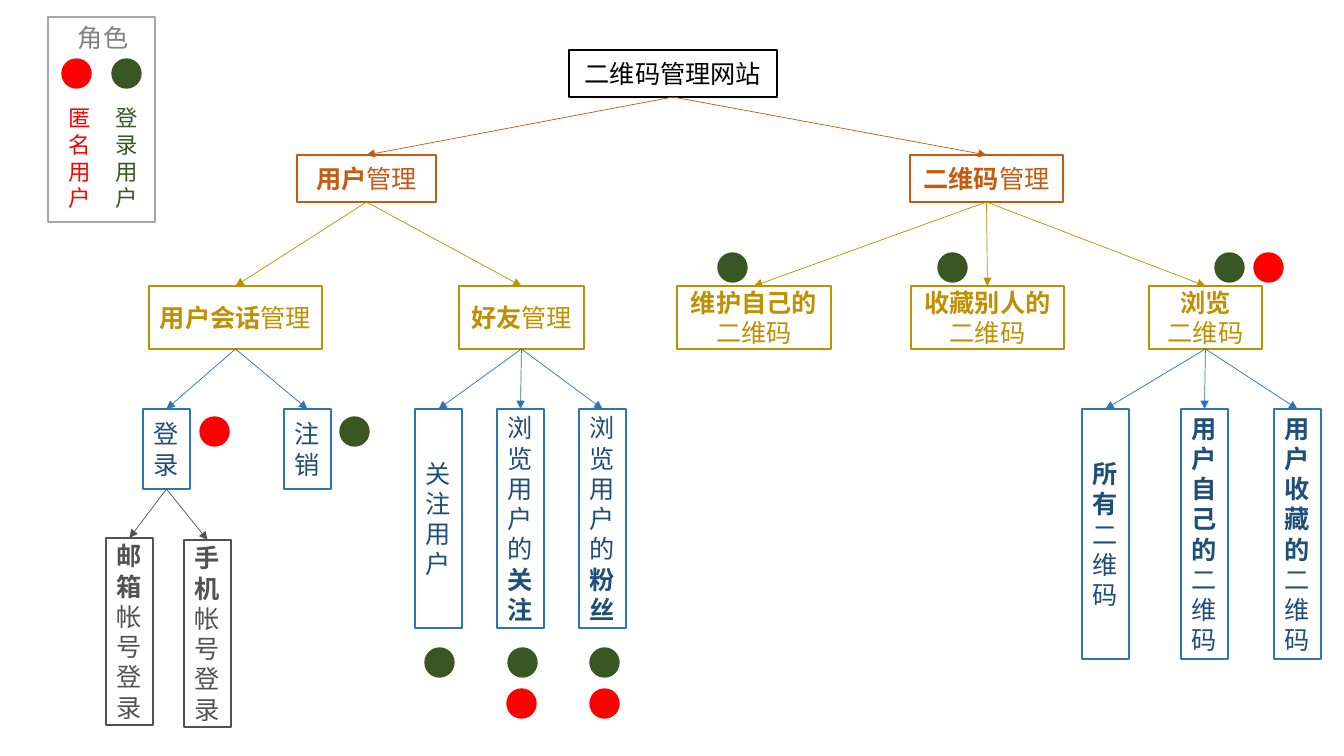
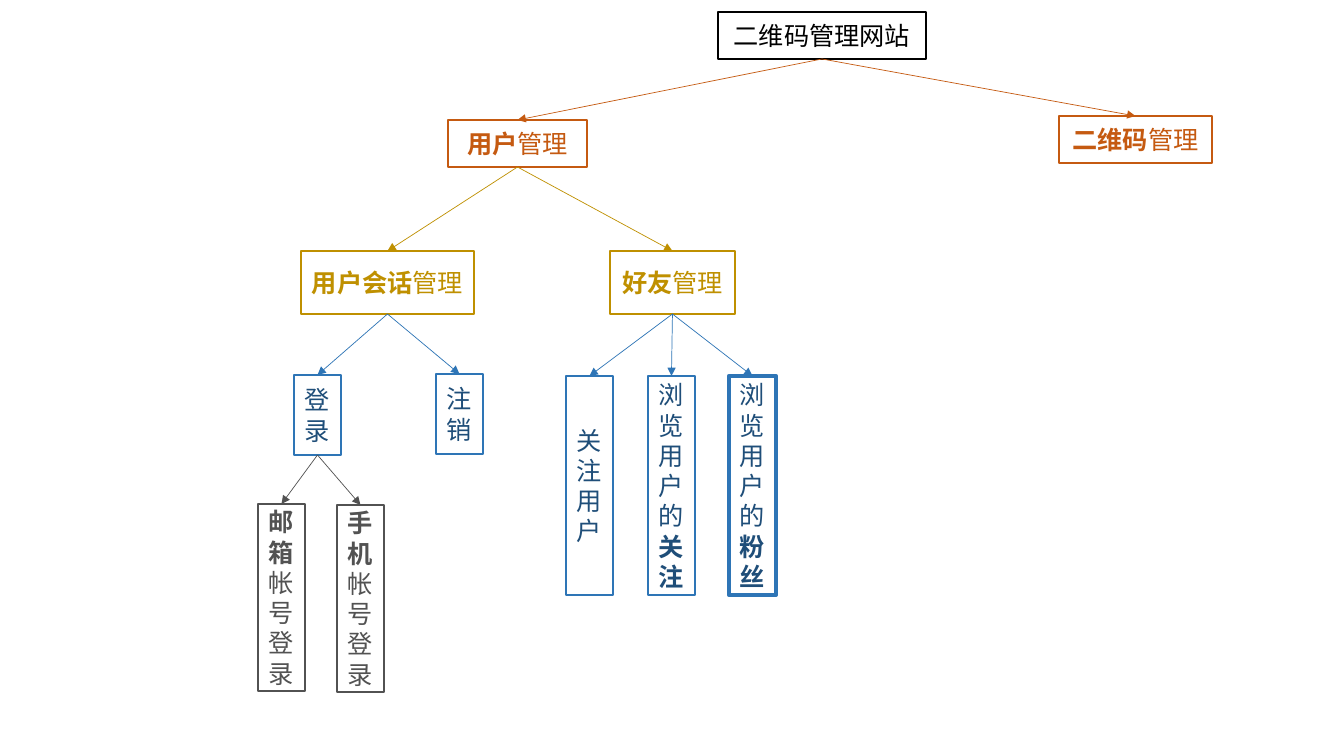
from lxml.etree import SubElement
from pptx import Presentation
from pptx.dml.color import RGBColor
from pptx.enum.shapes import MSO_CONNECTOR, MSO_SHAPE
from pptx.enum.text import MSO_ANCHOR, PP_ALIGN
from pptx.oxml.ns import qn
from pptx.util import Emu, Pt

PIXEL = 914400 / 100.8
FONT = "Noto Sans CJK SC"

WHITE = RGBColor(0xFF, 0xFF, 0xFF)
BLACK = RGBColor(0x00, 0x00, 0x00)
ORANGE = RGBColor(0xC5, 0x5A, 0x11)
GOLD = RGBColor(0xBF, 0x90, 0x00)
BLUE = RGBColor(0x2E, 0x75, 0xB6)
NAVY = RGBColor(0x1F, 0x4E, 0x79)
GRAY = RGBColor(0x52, 0x52, 0x52)
PANEL_GRAY = RGBColor(0xA6, 0xA6, 0xA6)
TITLE_GRAY = RGBColor(0x80, 0x80, 0x80)
RED = RGBColor(0xFF, 0x00, 0x00)
GREEN = RGBColor(0x38, 0x57, 0x23)

# Line and text colour of each tree level
LEVELS = [(BLACK, BLACK), (ORANGE, ORANGE), (GOLD, GOLD), (BLUE, NAVY), (GRAY, GRAY)]

# name: level, parent, width, height, paragraphs of (text, bold) runs
NODES = {
    "site": (0, None, 208, 47, [[("二维码管理网站", False)]]),
    "users": (1, "site", 139, 47, [[("用户", True), ("管理", False)]]),
    "codes": (1, "site", 153, 47, [[("二维码", True), ("管理", False)]]),
    "session": (2, "users", 173, 63, [[("用户会话", True), ("管理", False)]]),
    "friends": (2, "users", 125, 63, [[("好友", True), ("管理", False)]]),
    "maintain": (2, "codes", 154, 63, [[("维护自己的", True)], [("二维码", False)]]),
    "collect": (2, "codes", 153, 63, [[("收藏别人的", True)], [("二维码", False)]]),
    "browse": (2, "codes", 113, 63, [[("浏览", True)], [("二维码", False)]]),
    "login": (3, "session", 47, 80, [[("登录", False)]]),
    "logout": (3, "session", 47, 80, [[("注销", False)]]),
    "follow": (3, "friends", 47, 219, [[("关注用户", False)]]),
    "following": (3, "friends", 47, 219, [[("浏览用户的", False), ("关注", True)]]),
    "fans": (3, "friends", 47, 219, [[("浏览用户的", False), ("粉丝", True)]]),
    "all codes": (3, "browse", 47, 250, [[("所有", True), ("二维码", False)]]),
    "own codes": (3, "browse", 47, 250, [[("用户自己的", True), ("二维码", False)]]),
    "saved codes": (3, "browse", 47, 250, [[("用户收藏的", True), ("二维码", False)]]),
    "mail login": (4, "login", 47, 187, [[("邮箱", True), ("帐号", False)], [("登录", False)]]),
    "phone login": (4, "login", 47, 187, [[("手机", True), ("帐号登录", False)]]),
}

# Left and top of the nodes on each slide
OVERVIEW = {
    "site": (569, 50), "users": (297, 155), "codes": (910, 155),
    "session": (149, 286), "friends": (459, 286), "maintain": (677, 286),
    "collect": (911, 286), "browse": (1149, 286),
    "login": (143, 409), "logout": (284, 409), "follow": (415, 409),
    "following": (497, 409), "fans": (579, 409), "all codes": (1082, 409),
    "own codes": (1181, 409), "saved codes": (1274, 409),
    "mail login": (106, 538), "phone login": (184, 540),
}
USER_BRANCH = {
    "site": (718, 12), "users": (448, 120), "codes": (1059, 116),
    "session": (301, 251), "friends": (610, 251),
    "login": (294, 375), "logout": (436, 374), "follow": (566, 376),
    "following": (648, 376), "fans": (729, 376),
    "mail login": (258, 504), "phone login": (337, 505),
}

# Role dots: the first of each colour belongs to the legend
DOT = 29
DOTS = {
    RED: [(62, 59), (1254, 253), (200, 417), (507, 689), (590, 689)],
    GREEN: [(112, 59), (718, 253), (938, 253), (1215, 253), (340, 417),
            (425, 648), (508, 648), (590, 648)],
}
LEGEND_TEXTS = [
    ("角色", 49, 17, 108, 40, 18, TITLE_GRAY),
    ("匿名用户", 59, 99, 35, 119, 16, RED),
    ("登录用户", 106, 99, 41, 119, 16, GREEN),
]


def add_outlined(slide, preset, box, fill, line, line_width=1):
    shape = slide.shapes.add_shape(preset, *[Emu(round(length * PIXEL)) for length in box])
    shape.shadow.inherit = False
    shape.fill.solid()
    shape.fill.fore_color.rgb = fill
    shape.line.color.rgb = line
    shape.line.width = Pt(line_width)
    return shape


def write_paragraphs(text_frame, paragraphs, size, color):
    text_frame.word_wrap = True
    for index, runs in enumerate(paragraphs):
        paragraph = text_frame.add_paragraph() if index else text_frame.paragraphs[0]
        paragraph.alignment = PP_ALIGN.CENTER
        paragraph.font.name = FONT
        paragraph.font.size = Pt(size)
        paragraph.font.color.rgb = color
        defaults = paragraph._p.pPr.find(qn("a:defRPr"))
        SubElement(defaults, qn("a:ea"), typeface=FONT)
        for text, bold in runs:
            run = paragraph.add_run()
            run.text = text
            run.font.bold = bold


presentation = Presentation()
presentation.slide_width = Emu(round(1344 * PIXEL))
presentation.slide_height = Emu(round(756 * PIXEL))

# Trees
for positions, highlighted in [(OVERVIEW, None), (USER_BRANCH, "fans")]:
    slide = presentation.slides.add_slide(presentation.slide_layouts[6])
    shapes = {}
    for name, (left, top) in positions.items():
        level, parent, width, height, paragraphs = NODES[name]
        line_color, text_color = LEVELS[level]
        shape = add_outlined(slide, MSO_SHAPE.RECTANGLE, (left, top, width, height),
                             WHITE, line_color, 3 if name == highlighted else 1)
        shape.text_frame.vertical_anchor = MSO_ANCHOR.MIDDLE
        write_paragraphs(shape.text_frame, paragraphs, 18, text_color)
        shapes[name] = shape
        if parent:
            connector = slide.shapes.add_connector(MSO_CONNECTOR.STRAIGHT, 0, 0, 0, 0)
            connector.begin_connect(shapes[parent], 2)
            connector.end_connect(shape, 0)
            connector.line.color.rgb = line_color
            connector.line.width = Pt(0.5)
            SubElement(connector.line._get_or_add_ln(), qn("a:tailEnd"), type="triangle")
            SubElement(connector._element.spPr, qn("a:effectLst"))

# Role legend and dots on the overview
overview = presentation.slides[0]
add_outlined(overview, MSO_SHAPE.RECTANGLE, (48, 17, 107, 205), WHITE, PANEL_GRAY)
for color, places in DOTS.items():
    for left, top in places:
        add_outlined(overview, MSO_SHAPE.OVAL, (left, top, DOT, DOT), color, color)
for text, left, top, width, height, size, color in LEGEND_TEXTS:
    text_box = overview.shapes.add_textbox(
        *[Emu(round(length * PIXEL)) for length in (left, top, width, height)])
    write_paragraphs(text_box.text_frame, [[(text, False)]], size, color)

presentation.save("out.pptx")
